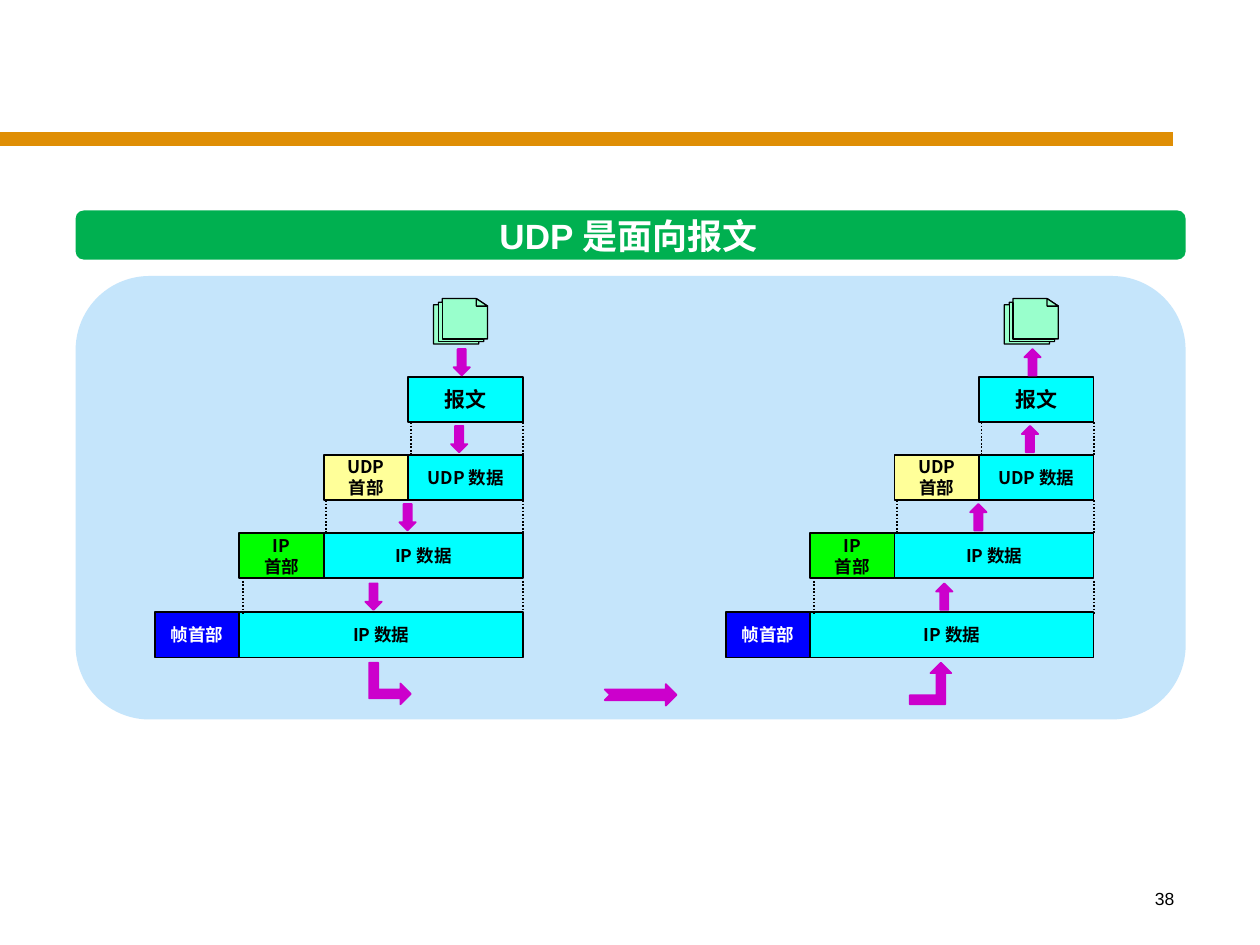
from pptx import Presentation
from pptx.dml.color import RGBColor
from pptx.enum.dml import MSO_LINE
from pptx.enum.shapes import MSO_CONNECTOR, MSO_SHAPE
from pptx.enum.text import MSO_ANCHOR, PP_ALIGN
from pptx.oxml.ns import qn
from pptx.util import Inches, Pt
from lxml import etree

HUE = {
    "bar": "DF8E05", "head": "00B050", "panel": "C5E5FB", "data": "00FFFF",
    "udp": "FFFF99", "ip": "00FF00", "frame": "0000FF", "page": "99FFCC",
    "arrow": "CC00CC", "black": "000000", "white": "FFFFFF",
}
SANS = "Noto Sans CJK SC"

deck = Presentation()
deck.slide_width, deck.slide_height = Inches(10), Inches(7.5)
slide = deck.slides.add_slide(deck.slide_layouts[5])
shapes = slide.shapes


def paint(shape, fill, line=None, width=1):
    shape.shadow.inherit = False
    shape.fill.solid()
    shape.fill.fore_color.rgb = RGBColor.from_string(HUE[fill])
    if line:
        shape.line.color.rgb = RGBColor.from_string(HUE[line])
        shape.line.width = Pt(width)
    else:
        shape.line.fill.background()


def write(shape, text, size, hue="black", face=SANS, bold=True,
          align=PP_ALIGN.CENTER):
    frame = shape.text_frame
    frame.text = text
    form = {"word_wrap": True, "vertical_anchor": MSO_ANCHOR.MIDDLE,
            "margin_left": 0, "margin_right": 0,
            "margin_top": 0, "margin_bottom": 0}
    for key, value in form.items():
        setattr(frame, key, value)
    for para in frame.paragraphs:
        para.alignment = align
        font = para.runs[0].font
        for key, value in {"size": Pt(size), "bold": bold, "name": face}.items():
            setattr(font, key, value)
        font.color.rgb = RGBColor.from_string(HUE[hue])
        east = etree.SubElement(para.runs[0]._r.get_or_add_rPr(), qn("a:ea"))
        east.set("typeface", SANS)


# Heading bar and panel
for top, high, fill in [(1.67, 0.39, "head"), (2.19, 3.52, "panel")]:
    box = shapes.add_shape(MSO_SHAPE.ROUNDED_RECTANGLE, Inches(0.6), Inches(top),
                           Inches(8.81), Inches(high))
    paint(box, fill)

# Title, raised above the heading bar
title = shapes.title
spot = {"left": 3.73, "top": 1.65, "width": 2.52, "height": 0.44}
for key, value in spot.items():
    setattr(title, key, Inches(value))
write(title, "UDP 是面向报文", 20, "white", "Arial")
shapes._spTree.append(title._element)

# Sender on the left, receiver on the right
SHIFT = 4.53
EDGE = 4.15
HIGH = 0.36
HEAD = 0.67
# data left, row top, data text, size, header text, header fill, header ink
ROWS = [
    (3.24, 2.99, "报文", 12, None, None, None),
    (3.24, 3.61, "UDP 数据", 10, "UDP\n首部", "udp", "black"),
    (2.57, 4.23, "IP 数据", 10, "IP\n首部", "ip", "black"),
    (1.9, 4.86, "IP 数据", 10, "帧首部", "frame", "white"),
]
SHEETS = [
    [(3.87, 2.43), (3.87, 2.69), (3.84, 2.69), (3.84, 2.71), (3.8, 2.71),
     (3.8, 2.73), (3.44, 2.73), (3.44, 2.42), (3.48, 2.42), (3.48, 2.4),
     (3.51, 2.4), (3.51, 2.37), (3.78, 2.37)],
    [(3.8, 2.71), (3.48, 2.71), (3.48, 2.4), (3.51, 2.4), (3.51, 2.69),
     (3.84, 2.69), (3.84, 2.71)],
    [(3.87, 2.43), (3.78, 2.43), (3.78, 2.37)],
]
ARROWS = [(3.6, 2.77), (3.58, 3.38), (3.17, 4), (2.9, 4.63)]
DOTS = [(3.26, 3.35), (EDGE, 3.35), (2.59, 3.97), (EDGE, 3.97),
        (1.93, 4.61), (EDGE, 4.61)]
wires = [(0, 1.1, 9.31, 1.1, "bar", 8, None)]

for dx, kind in [(0, MSO_SHAPE.DOWN_ARROW), (SHIFT, MSO_SHAPE.UP_ARROW)]:
    # Stack of pages
    for sheet in SHEETS:
        points = [(Inches(x + dx), Inches(y)) for x, y in sheet]
        pen = shapes.build_freeform(*points[0])
        pen.add_line_segments(points[1:], close=True)
        paint(pen.convert_to_shape(), "page", "black", 0.75)

    # Data and header boxes
    for left, top, text, size, label, fill, ink in ROWS:
        cells = [(left, EDGE - left, text, size, "data", "black")]
        if label:
            cells.append((left - HEAD, HEAD, label, 10, fill, ink))
        for x, wide, words, points, shade, hue in cells:
            cell = shapes.add_shape(MSO_SHAPE.RECTANGLE, Inches(x + dx), Inches(top),
                                    Inches(wide), Inches(HIGH))
            paint(cell, shade, "black")
            write(cell, words, points, hue)

    # Arrows between rows
    for x, y in ARROWS:
        arrow = shapes.add_shape(kind, Inches(x + dx), Inches(y),
                                 Inches(0.13), Inches(0.21))
        paint(arrow, "arrow", "arrow")
    wires += [(x + dx, y, x + dx, y + 0.26, "black", 1, MSO_LINE.ROUND_DOT)
              for x, y in DOTS]

# Orange rule and dotted guides
for x1, y1, x2, y2, hue, width, dash in wires:
    wire = shapes.add_connector(MSO_CONNECTOR.STRAIGHT, Inches(x1), Inches(y1),
                                Inches(x2), Inches(y2))
    wire.line.color.rgb = RGBColor.from_string(HUE[hue])
    wire.line.width = Pt(width)
    if dash:
        wire.line.dash_style = dash
    etree.SubElement(wire._element.spPr, qn("a:effectLst"))

# Transfer from sender to receiver
for x, turn in [(2.93, 90), (7.22, 0)]:
    bend = shapes.add_shape(MSO_SHAPE.BENT_UP_ARROW, Inches(x), Inches(5.26),
                            Inches(0.33), Inches(0.33))
    bend.rotation = turn
    bend.adjustments[0] = 0.215
    paint(bend, "arrow", "arrow")
notch = shapes.add_shape(MSO_SHAPE.NOTCHED_RIGHT_ARROW, Inches(4.8), Inches(5.43),
                         Inches(0.57), Inches(0.17))
paint(notch, "arrow", "arrow")

# Page number
number = shapes.add_textbox(Inches(7.33), Inches(7), Inches(1.99), Inches(0.27))
write(number, "38", 10, face="Arial", bold=False, align=PP_ALIGN.RIGHT)

deck.save("out.pptx")
